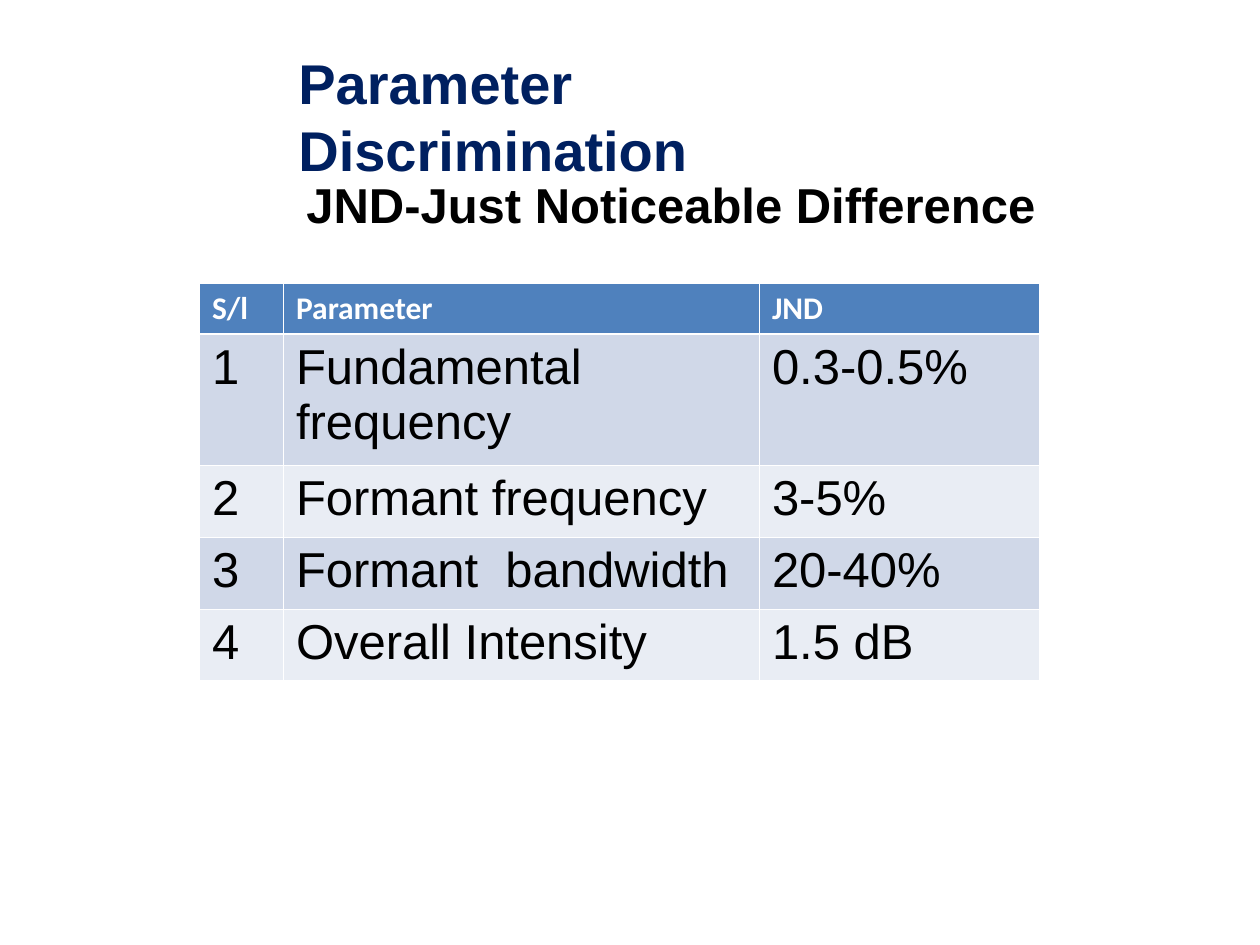
from pptx import Presentation
from pptx import util as u
from pptx.dml.color import RGBColor
from pptx.enum import text
from pptx.oxml import parse_xml
from pptx.oxml.ns import nsdecls

NAVY = RGBColor(0x00, 0x20, 0x60)
BLACK = RGBColor(0x00, 0x00, 0x00)
WHITE = RGBColor(0xFF, 0xFF, 0xFF)
BLUE = RGBColor(0x4F, 0x81, 0xBD)
BANDS = (RGBColor(0xD0, 0xD8, 0xE8), RGBColor(0xE9, 0xED, 0xF4))

COLS, ROWS = 120, 90
THIN, THICK = 0.45, 1.47
WIDTHS = (8, 45.33, 26.67)
HEIGHTS = (4.8, 12.5, 6.85, 6.85, 6.85)
DATA = (
    ("S/l", "Parameter", "JND"),
    ("1", "Fundamental frequency", "0.3-0.5%"),
    ("2", "Formant frequency", "3-5%"),
    ("3", "Formant  bandwidth", "20-40%"),
    ("4", "Overall Intensity", "1.5 dB"),
)


class Deck:
    """Hold the slide and its style, with lengths in grid columns and rows."""

    def __init__(self):
        self.prs = Presentation()
        self.prs.slide_width = u.Inches(10)
        self.prs.slide_height = u.Inches(7.5)
        self.slide = self.prs.slides.add_slide(self.prs.slide_layouts[6])

    def x(self, cols):
        return round(self.prs.slide_width * cols / COLS)

    def y(self, rows):
        return round(self.prs.slide_height * rows / ROWS)

    def words(self, frame, line, size, color, bold=True, face="Arial"):
        run = frame.paragraphs[0].add_run()
        run.text = line
        font = run.font
        font.name, font.size, font.bold = face, u.Pt(size), bold
        font.color.rgb = color

    def label(self, line, col, row, wide, high, size, color, wrap=True):
        box = self.slide.shapes.add_textbox(
            self.x(col), self.y(row), self.x(wide), self.y(high))
        frame = box.text_frame
        frame.word_wrap = wrap
        frame.auto_size = text.MSO_AUTO_SIZE.SHAPE_TO_FIT_TEXT
        self.words(frame, line, size, color)

    def edge(self, cell, **sides):
        props = cell._tc.get_or_add_tcPr()
        for spot, side in enumerate("LRTB"):
            line = parse_xml(
                f'<a:ln{side} {nsdecls("a")} w="{u.Pt(sides.get(side, THIN))}">'
                f'<a:solidFill><a:srgbClr val="{WHITE}"/></a:solidFill></a:ln{side}>')
            props.insert(spot, line)

    def table(self, data, col, row, widths, heights):
        grid = self.slide.shapes.add_table(
            len(heights), len(widths), self.x(col), self.y(row),
            self.x(sum(widths)), self.y(sum(heights))).table
        for part, wide in zip(grid.columns, widths):
            part.width = self.x(wide)
        for part, high in zip(grid.rows, heights):
            part.height = self.y(high)
        for r, entries in enumerate(data):
            for c, entry in enumerate(entries):
                cell = grid.cell(r, c)
                cell.fill.solid()
                if r == 0:
                    cell.fill.fore_color.rgb = BLUE
                    self.words(cell.text_frame, entry, 18, WHITE, face="Calibri")
                    self.edge(cell, B=THICK)
                else:
                    cell.fill.fore_color.rgb = BANDS[(r - 1) % 2]
                    self.words(cell.text_frame, entry, 28, BLACK, bold=False)
                    self.edge(cell, T=THICK if r == 1 else THIN)


def main():
    deck = Deck()
    deck.label("Parameter Discrimination", 27.24, 4, 67, 7.7, 32, NAVY, wrap=False)
    deck.label("JND-Just Noticeable Difference", 28, 16, 80, 6.85, 28, BLACK)
    deck.table(DATA, 19, 27, WIDTHS, HEIGHTS)
    deck.prs.save("out.pptx")


if __name__ == "__main__":
    main()
